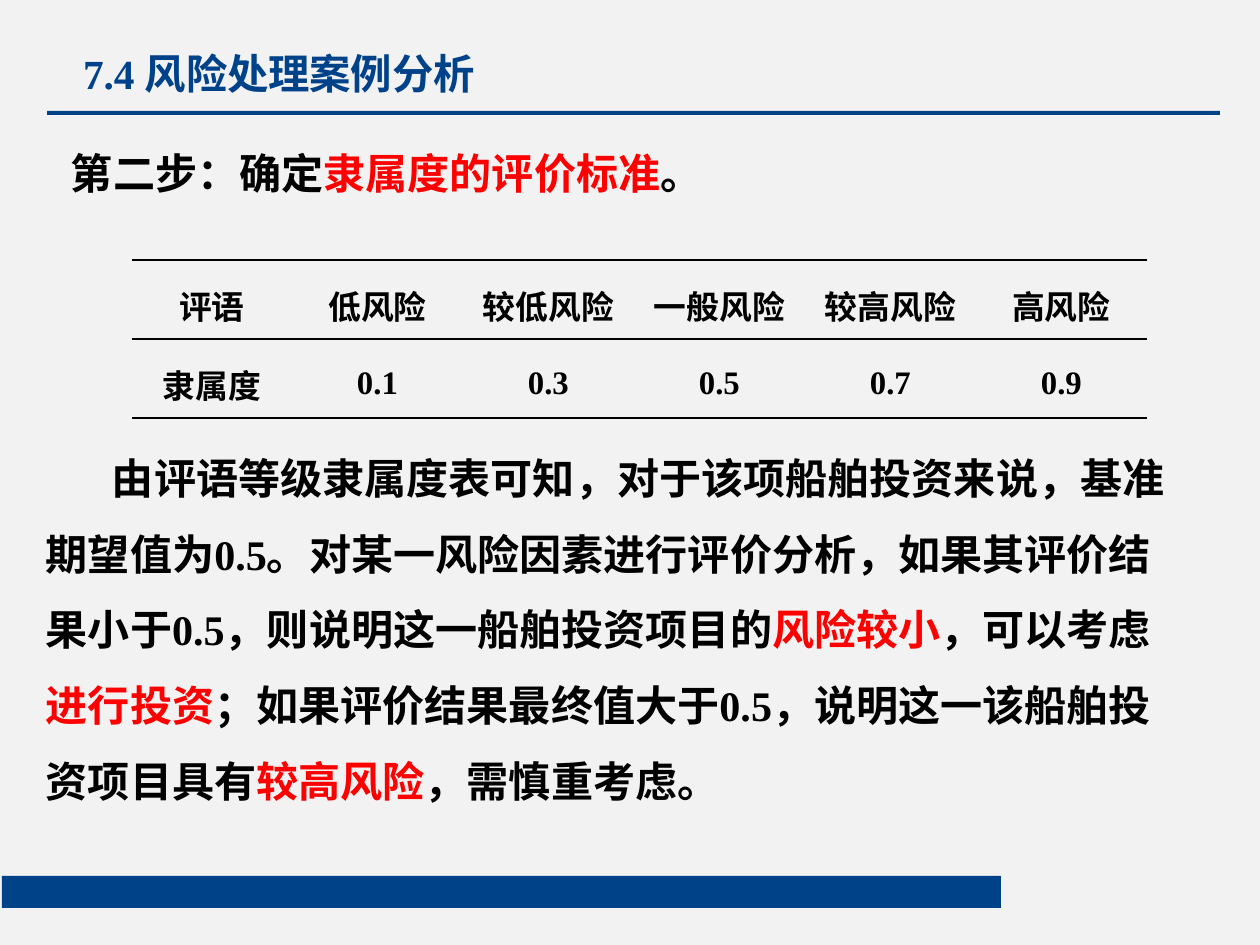
from dataclasses import dataclass

from lxml.etree import SubElement
from pptx import Presentation
from pptx.dml.color import RGBColor
from pptx.enum.lang import MSO_LANGUAGE_ID
from pptx.enum.shapes import MSO_SHAPE
from pptx.enum.text import MSO_ANCHOR, MSO_AUTO_SIZE, PP_ALIGN
from pptx.oxml.ns import qn
from pptx.util import Emu, Pt

EMU_PER_PX = 5430


@dataclass(frozen=True)
class Theme:
    background: RGBColor = RGBColor(0xF2, 0xF2, 0xF2)
    blue: RGBColor = RGBColor(0x00, 0x42, 0x88)
    title_blue: RGBColor = RGBColor(0x00, 0x42, 0x89)
    ink: RGBColor = RGBColor(0, 0, 0)
    accent: RGBColor = RGBColor(0xFF, 0, 0)
    serif: str = "Times New Roman"
    sans: str = "Arial"
    title_size: float = 17.7
    body_size: float = 18
    table_size: float = 14
    rule_width: float = 1


THEME = Theme()

STEP = [("第二步：确定", THEME.ink), ("隶属度的评价标准", THEME.accent), ("。", THEME.ink)]

MEMBERSHIP = [
    ["评语", "低风险", "较低风险", "一般风险", "较高风险", "高风险"],
    ["隶属度", "0.1", "0.3", "0.5", "0.7", "0.9"],
]

CONCLUSION = [
    ("由评语等级隶属度表可知，对于该项船舶投资来说，基准期望值为", THEME.ink),
    ("0.5", THEME.ink),
    ("。对某一风险因素进行评价分析，如果其评价结果小于", THEME.ink),
    ("0.5", THEME.ink),
    ("，则说明这一船舶投资项目的", THEME.ink),
    ("风险较小", THEME.accent),
    ("，可以考虑", THEME.ink),
    ("进行投资", THEME.accent),
    ("；如果评价结果最终值大于", THEME.ink),
    ("0.5", THEME.ink),
    ("，说明这一该船舶投资项目具有", THEME.ink),
    ("较高风险", THEME.accent),
    ("，需慎重考虑。", THEME.ink),
]


def px(length):
    return Emu(length * EMU_PER_PX)


def add_run(paragraph, text, size, color=THEME.ink, font=THEME.serif):
    run = paragraph.add_run()
    run.text = text
    run.font.name = font
    run.font.size = Pt(size)
    run.font.bold = True
    run.font.color.rgb = color
    run.font.language_id = MSO_LANGUAGE_ID.SIMPLIFIED_CHINESE


def set_frame(frame, side, top):
    frame.word_wrap = True
    frame.auto_size = MSO_AUTO_SIZE.NONE
    frame.vertical_anchor = MSO_ANCHOR.TOP
    frame.margin_left = frame.margin_right = px(side)
    frame.margin_top = frame.margin_bottom = px(top)


def add_bar(slide, left, top, width, height):
    bar = slide.shapes.add_shape(
        MSO_SHAPE.RECTANGLE, px(left), px(top), px(width), px(height))
    bar.shadow.inherit = False
    bar.fill.solid()
    bar.fill.fore_color.rgb = THEME.blue
    bar.line.fill.background()


def set_title(slide, text):
    title = slide.shapes.title
    title.left, title.top, title.width, title.height = px(71), px(42), px(559), px(62)
    set_frame(title.text_frame, 12, 6)
    heading = title.text_frame.paragraphs[0]
    heading.alignment = PP_ALIGN.LEFT
    add_run(heading, text, THEME.title_size, THEME.title_blue)


def add_text(slide, left, top, width, height, margins):
    """Add an empty text box and return its first paragraph."""
    box = slide.shapes.add_textbox(px(left), px(top), px(width), px(height))
    set_frame(box.text_frame, *margins)
    return box.text_frame.paragraphs[0]


def add_step(slide):
    step = add_text(slide, 59, 141, 1106, 64, (12, 6))
    for text, color in STEP:
        add_run(step, text, THEME.body_size, color)


def add_conclusion(slide):
    conclusion = add_text(slide, 29, 419, 1167, 389, (17, 8))
    conclusion.line_spacing = 1.5
    conclusion._p.get_or_add_pPr().set("indent", str(px(66)))
    for text, color in CONCLUSION:
        font = THEME.serif if text.isascii() else THEME.sans
        add_run(conclusion, text, THEME.body_size, color, font)


def set_borders(cell, ruled):
    """Rule the named sides of a cell and clear the others."""
    properties = cell._tc.get_or_add_tcPr()
    for position, side in enumerate(("lnL", "lnR", "lnT", "lnB")):
        border = properties.makeelement(qn(f"a:{side}"))
        properties.insert(position, border)
        if side in ruled:
            border.set("w", str(Pt(THEME.rule_width)))
            fill = SubElement(border, qn("a:solidFill"))
            SubElement(fill, qn("a:srgbClr"), val=str(THEME.ink))
        else:
            border.set("w", "0")
            SubElement(border, qn("a:noFill"))


def fill_cell(cell, text, ruled):
    cell.fill.background()
    cell.vertical_anchor = MSO_ANCHOR.MIDDLE
    cell.margin_left = cell.margin_right = px(12)
    cell.margin_top = cell.margin_bottom = 0
    entry = cell.text_frame.paragraphs[0]
    entry.alignment = PP_ALIGN.CENTER
    entry.line_spacing = 1.25
    add_run(entry, text, THEME.table_size)
    set_borders(cell, ruled)


def add_membership_table(slide):
    label_width, grade_width, row_height = 160, 171, 79
    row_count, column_count = len(MEMBERSHIP), len(MEMBERSHIP[0])
    width = label_width + grade_width * (column_count - 1)
    table = slide.shapes.add_table(
        row_count, column_count, px(132), px(260),
        px(width), px(row_height * row_count)).table
    table.first_row = table.horz_banding = False
    for index, column in enumerate(table.columns):
        column.width = px(grade_width if index else label_width)
    for row, entries in enumerate(MEMBERSHIP):
        table.rows[row].height = px(row_height)
        for column, text in enumerate(entries):
            fill_cell(table.cell(row, column), text, ("lnT", "lnB"))


def main():
    deck = Presentation()
    deck.slide_width, deck.slide_height = px(1260), px(945)
    slide = deck.slides.add_slide(deck.slide_layouts[5])
    slide.background.fill.solid()
    slide.background.fill.fore_color.rgb = THEME.background

    add_bar(slide, 2, 876, 999, 32)
    add_bar(slide, 47, 111, 1173, 4)
    set_title(slide, "7.4 风险处理案例分析")
    add_step(slide)
    add_membership_table(slide)
    add_conclusion(slide)
    deck.save("out.pptx")


if __name__ == "__main__":
    main()
